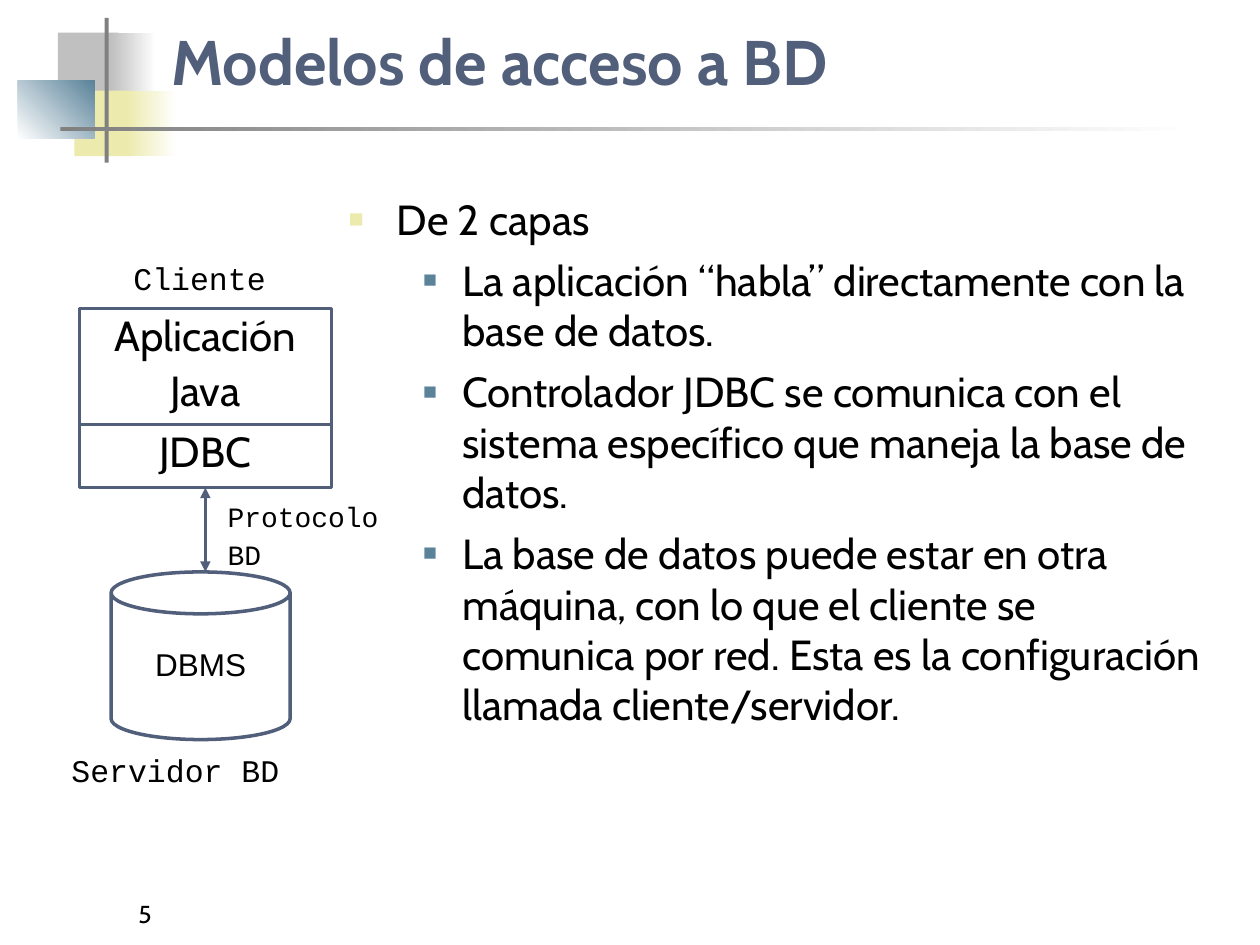
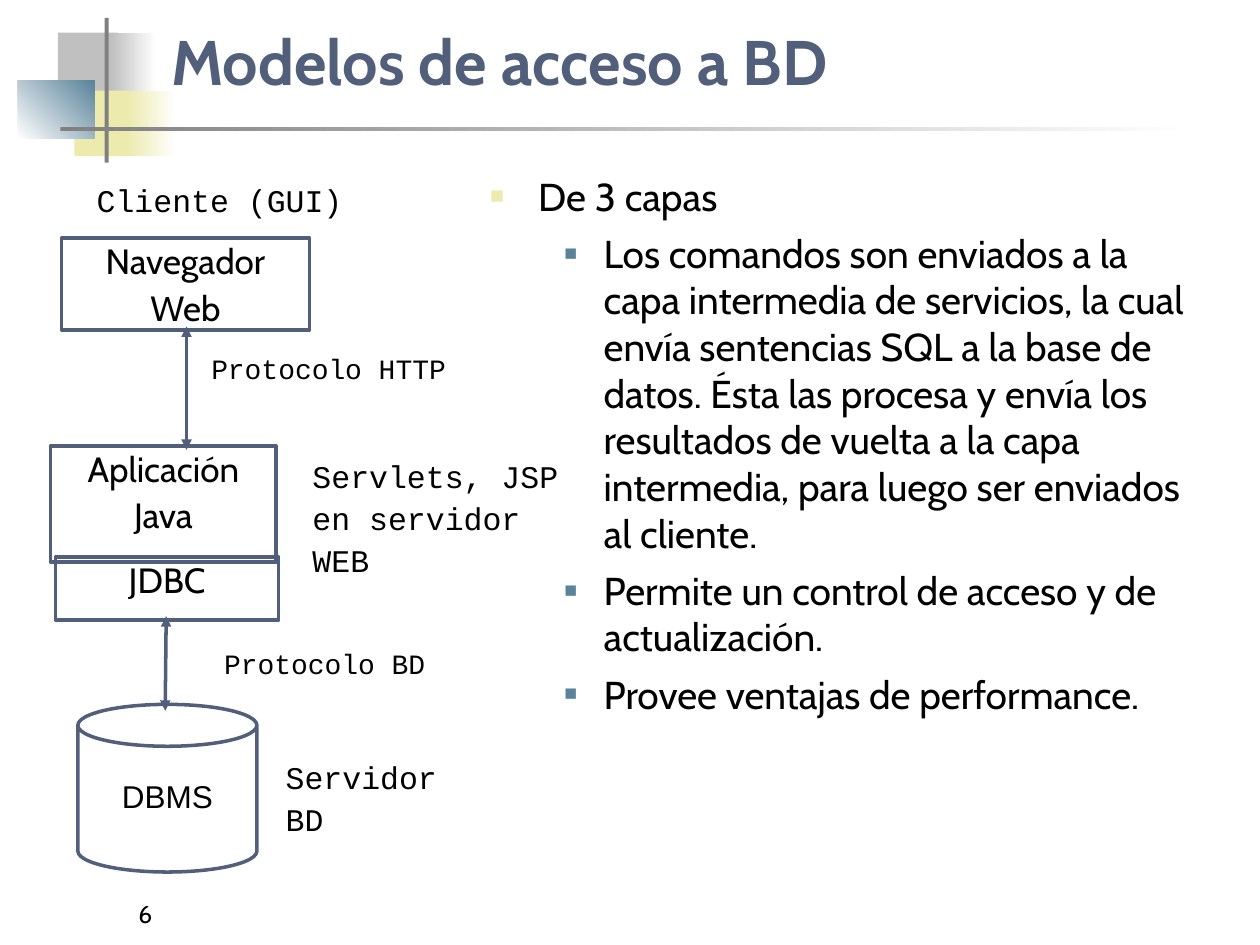
from lxml.etree import SubElement
from pptx import Presentation
from pptx.dml.color import RGBColor
from pptx.enum.shapes import MSO_CONNECTOR, MSO_SHAPE
from pptx.enum.text import MSO_ANCHOR, PP_ALIGN
from pptx.oxml.ns import qn
from pptx.util import Cm, Pt

COLORS = {
    "slate": "515F7B", "steel": "5A839A", "cream": "ECEAAC", "silver": "C0C0C0",
    "gray": "808080", "white": "FFFFFF", "black": "000000",
}
TEXT_FONT, LABEL_FONT, CYLINDER_FONT = "Cabin", "Courier New", "Arial"
LINE_WIDTH = Pt(2)

# Places are (left, top, width, height) in centimetres.
TITLE_PLACE = (3.2, 0.38, 21.64, 1.73)
NUMBER_PLACE = (2.54, 17.58, 5.28, 1.27)
CYLINDER_SIZE = (3.61, 3.38)

# Place, colours (one is solid, two are a gradient), gradient angle
ORNAMENTS = [
    ((1.17, 0.66, 1.22, 1.32), ["silver"], 0),
    ((2.24, 0.66, 0.91, 1.32), ["silver", "white"], 0),
    ((1.5, 1.83, 1.17, 1.32), ["cream"], 0),
    ((2.54, 1.83, 1.02, 1.32), ["cream", "white"], 0),
    ((0.36, 1.63, 1.55, 1.17), ["white", "steel"], 45),
    ((2.11, 0.36, 0.08, 2.92), ["gray"], 0),
    ((1.22, 2.57, 22.86, 0.08), ["gray", "white"], 0),
]

# Bullet colour, bullet size in percent, left margin and hanging indent in centimetres
BULLET_LEVELS = [("cream", 60, 0.97, 0.97), ("steel", 55, 2.29, 0.79)]

PAGES = [
    {
        "number": "5",
        "title": "Modelos de acceso a BD",
        "body_place": (6.78, 3.78, 17.78, 12.73),
        "body_size": 24,
        "body": [
            (0, "De 2 capas"),
            (1, "La aplicación “habla” directamente con la base de datos."),
            (1, "Controlador JDBC se comunica con el sistema específico que maneja "
                "la base de datos."),
            (1, "La base de datos puede estar en otra máquina, con lo que el cliente se "
                "comunica por red. Esta es la configuración llamada cliente/servidor."),
        ],
        "box_size": 24,
        "boxes": [
            (["Aplicación", "Java"], (1.6, 6.22, 5.08, 2.34)),
            (["JDBC"], (1.6, 8.56, 5.08, 1.27)),
        ],
        "cylinder": ("DBMS", (2.24, 11.53)),
        "arrows": [(4.14, 11.53, 4.14, 9.83)],
        "labels": [
            (["Cliente"], 18, (2.44, 5.18, 3.38, 0.84)),
            (["Servidor BD"], 18, (1.19, 15.11, 5.28, 1.9)),
            (["Protocolo", "BD"], 16, (4.34, 10.03, 3.71, 1.7)),
        ],
    },
    {
        "number": "6",
        "title": "Modelos de acceso a BD",
        "body_place": (9.63, 3.35, 14.96, 13.31),
        "body_size": 22.2,
        "body": [
            (0, "De 3 capas"),
            (1, "Los comandos son enviados a la capa intermedia de servicios, la cual "
                "envía sentencias SQL a la base de datos. Ésta las procesa y envía los "
                "resultados de vuelta a la capa intermedia, para luego ser enviados "
                "al cliente."),
            (1, "Permite un control de acceso y de actualización."),
            (1, "Provee ventajas de performance."),
        ],
        "box_size": 20,
        "boxes": [
            (["Navegador", "Web"], (1.24, 4.8, 5, 1.85)),
            (["Aplicación", "Java"], (1.02, 8.99, 4.55, 2.34)),
            (["JDBC"], (1.12, 11.23, 4.5, 1.27)),
        ],
        "cylinder": ("DBMS", (1.57, 14.2)),
        "arrows": [(3.76, 9.07, 3.76, 6.58), (3.33, 14.33, 3.35, 12.42)],
        "labels": [
            (["Cliente (GUI)"], 18, (1.7, 3.61, 6.12, 0.89)),
            (["Protocolo HTTP"], 16, (4.01, 7.04, 5.72, 1.7)),
            (["Servlets, JSP", "en servidor", "WEB"], 18, (6.05, 9.17, 5.82, 1.32)),
            (["Protocolo BD"], 16, (4.27, 12.98, 5.33, 1.7)),
            (["Servidor", "BD"], 18, (5.51, 15.24, 4.24, 1.9)),
        ],
    },
]


def rgb(name):
    return RGBColor.from_string(COLORS[name])


def lengths(values):
    return [Cm(value) for value in values]


def write(shape, lines, size, font=TEXT_FONT, color="black", bold=False,
          align=PP_ALIGN.LEFT, anchor=MSO_ANCHOR.TOP, wrap=True):
    """Fill a shape with one paragraph per line and return the paragraphs."""
    frame = shape.text_frame
    frame.word_wrap = wrap
    frame.vertical_anchor = anchor
    frame.text = "\n".join(lines)
    for para in frame.paragraphs:
        para.alignment = align
        para.font.size = Pt(size)
        para.font.name = font
        para.font.bold = bold
        para.font.color.rgb = rgb(color)
    return frame.paragraphs


def tighten(paragraphs, size):
    """Give diagram text its close lines and a gap of a quarter of its size."""
    for para in paragraphs:
        para.line_spacing = 0.9
        para.space_before = Pt(size / 4)


def add_text(page, place, lines, size, **style):
    return write(page.shapes.add_textbox(*lengths(place)), lines, size, **style)


def add_ornament(page, place, colors, angle):
    shape = page.shapes.add_shape(MSO_SHAPE.RECTANGLE, *lengths(place))
    shape.shadow.inherit = False
    shape.line.fill.background()
    if len(colors) == 1:
        shape.fill.solid()
        shape.fill.fore_color.rgb = rgb(colors[0])
        return
    shape.fill.gradient()
    shape.fill.gradient_angle = angle
    for stop, color in zip(shape.fill.gradient_stops, colors):
        stop.color.rgb = rgb(color)


def set_bullet(para, level):
    color, percent, margin, hanging = BULLET_LEVELS[level]
    para.level = level
    properties = para._p.get_or_add_pPr()
    properties.set("marL", str(Cm(margin)))
    properties.set("indent", str(-Cm(hanging)))
    defaults = properties.find(qn("a:defRPr"))
    bullet_color = SubElement(properties, qn("a:buClr"))
    SubElement(bullet_color, qn("a:srgbClr"), val=COLORS[color])
    SubElement(properties, qn("a:buSzPct"), val=str(percent * 1000))
    SubElement(properties, qn("a:buFont"), typeface="Arial")
    SubElement(properties, qn("a:buChar"), char="■")
    properties.append(defaults)  # the schema wants bullets before font defaults


def add_body(page, place, items, size):
    paragraphs = add_text(page, place, [text for _, text in items], size)
    for para, (level, _) in zip(paragraphs, items):
        set_bullet(para, level)
        para.space_before = Pt(6)


def add_outlined(page, kind, place, lines, size, **style):
    shape = page.shapes.add_shape(kind, *lengths(place))
    shape.shadow.inherit = False
    shape.fill.background()
    shape.line.color.rgb = rgb("slate")
    shape.line.width = LINE_WIDTH
    tighten(write(shape, lines, size, align=PP_ALIGN.CENTER, **style), size)


def add_double_arrow(page, ends):
    arrow = page.shapes.add_connector(MSO_CONNECTOR.STRAIGHT, *lengths(ends))
    arrow.line.color.rgb = rgb("slate")
    arrow.line.width = LINE_WIDTH
    outline = arrow.line._get_or_add_ln()
    for end in ("a:headEnd", "a:tailEnd"):
        SubElement(outline, qn(end), type="triangle")
    SubElement(arrow._element.spPr, qn("a:effectLst"))


def add_frame(page, title, number):
    """Add what every slide shares: ornaments, number and title."""
    for ornament in ORNAMENTS:
        add_ornament(page, *ornament)
    add_text(page, NUMBER_PLACE, [number], 14, anchor=MSO_ANCHOR.BOTTOM)
    add_text(page, TITLE_PLACE, [title], 36, color="slate", bold=True,
             anchor=MSO_ANCHOR.BOTTOM)


def add_diagram(page, content):
    for lines, place in content["boxes"]:
        add_outlined(page, MSO_SHAPE.RECTANGLE, place, lines, content["box_size"])
    name, corner = content["cylinder"]
    add_outlined(page, MSO_SHAPE.CAN, corner + CYLINDER_SIZE, [name], 18,
                 font=CYLINDER_FONT, anchor=MSO_ANCHOR.MIDDLE, wrap=False)
    for ends in content["arrows"]:
        add_double_arrow(page, ends)
    for lines, size, place in content["labels"]:
        tighten(add_text(page, place, lines, size, font=LABEL_FONT), size)


def main():
    deck = Presentation()
    deck.slide_width, deck.slide_height = Cm(25.4), Cm(19.05)
    blank = deck.slide_layouts[6]
    for content in PAGES:
        page = deck.slides.add_slide(blank)
        add_frame(page, content["title"], content["number"])
        add_body(page, content["body_place"], content["body"], content["body_size"])
        add_diagram(page, content)
    deck.save("out.pptx")


if __name__ == "__main__":
    main()
